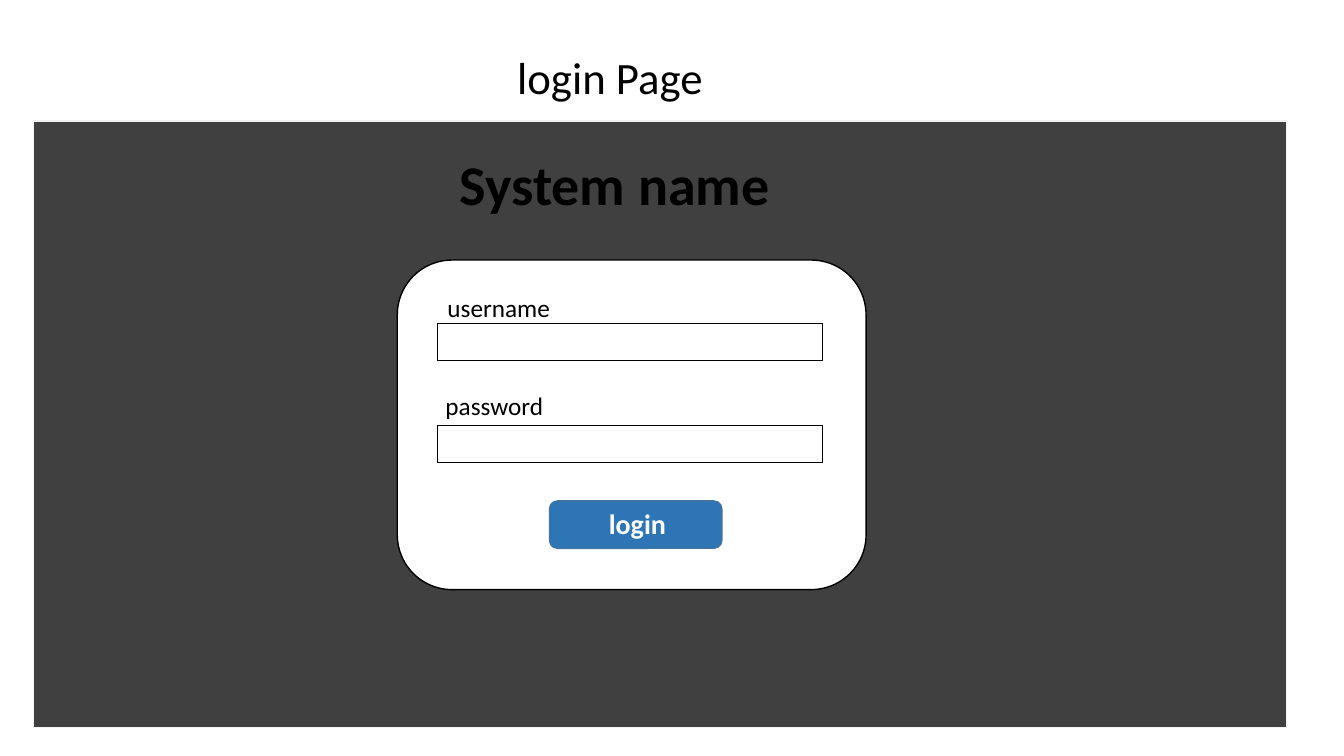
from dataclasses import dataclass

from pptx import Presentation
from pptx.dml.color import RGBColor as Rgb
from pptx.enum.shapes import MSO_SHAPE as Kind
from pptx.enum.text import MSO_AUTO_SIZE as Fit, PP_ALIGN as Align
from pptx.util import Inches, Pt

FONT = "Calibri"
BLACK, WHITE = "000000", "FFFFFF"


@dataclass
class Box:
    left: float
    top: float
    width: float
    height: float

    def place(self) -> tuple:
        return tuple(map(Inches, (self.left, self.top, self.width, self.height)))


@dataclass
class Field:
    name: str
    label: Box
    top: float


def color(code: str) -> Rgb:
    return Rgb.from_string(code)


def panel(box: Box, kind: Kind, fill: str | None, line: str, weight: float = 1) -> None:
    shape = slide.shapes.add_shape(kind, *box.place())
    shape.shadow.inherit = False
    if fill:
        shape.fill.solid()
        shape.fill.fore_color.rgb = color(fill)
    else:
        shape.fill.background()
    shape.line.color.rgb = color(line)
    shape.line.width = Pt(weight)


def write(text: str, box: Box, size: int = 18, ink: str = BLACK,
          bold: bool = False, align: Align = Align.LEFT) -> None:
    frame = slide.shapes.add_textbox(*box.place()).text_frame
    frame.word_wrap = True
    frame.auto_size = Fit.SHAPE_TO_FIT_TEXT
    para = frame.paragraphs[0]
    para.alignment = align
    run = para.add_run()
    run.text = text
    run.font.name = FONT
    run.font.size = Pt(size)
    run.font.bold = bold
    run.font.color.rgb = color(ink)


def entry(field: Field) -> None:
    panel(Box(4.34, field.top, 3.82, 0.37), Kind.RECTANGLE, None, BLACK, 0.75)
    write(field.name, field.label)


deck = Presentation()
deck.slide_width, deck.slide_height = Inches(13.33), Inches(7.5)
slide = deck.slides.add_slide(deck.slide_layouts[6])

panel(Box(0.33, 1.2, 12.43, 6.02), Kind.RECTANGLE, "404040", "F2F2F2")
write("login Page", Box(5.03, 0.44, 5.42, 0.64), size=32)
panel(Box(3.94, 2.58, 4.65, 3.27), Kind.ROUNDED_RECTANGLE, WHITE, BLACK)
write("System name", Box(2.21, 1.43, 7.77, 0.77), size=40, bold=True, align=Align.CENTER)

fields = [
    Field("username", Box(4.34, 2.85, 1.6, 0.4), 3.21),
    Field("password", Box(4.32, 3.82, 1.41, 0.4), 4.22),
]
for field in fields:
    entry(field)

panel(Box(5.45, 4.97, 1.71, 0.47), Kind.ROUNDED_RECTANGLE, "2E75B6", "43739E")
write("login", Box(5.94, 4.98, 1.33, 0.44), size=20, ink=WHITE, bold=True)

deck.save("out.pptx")
